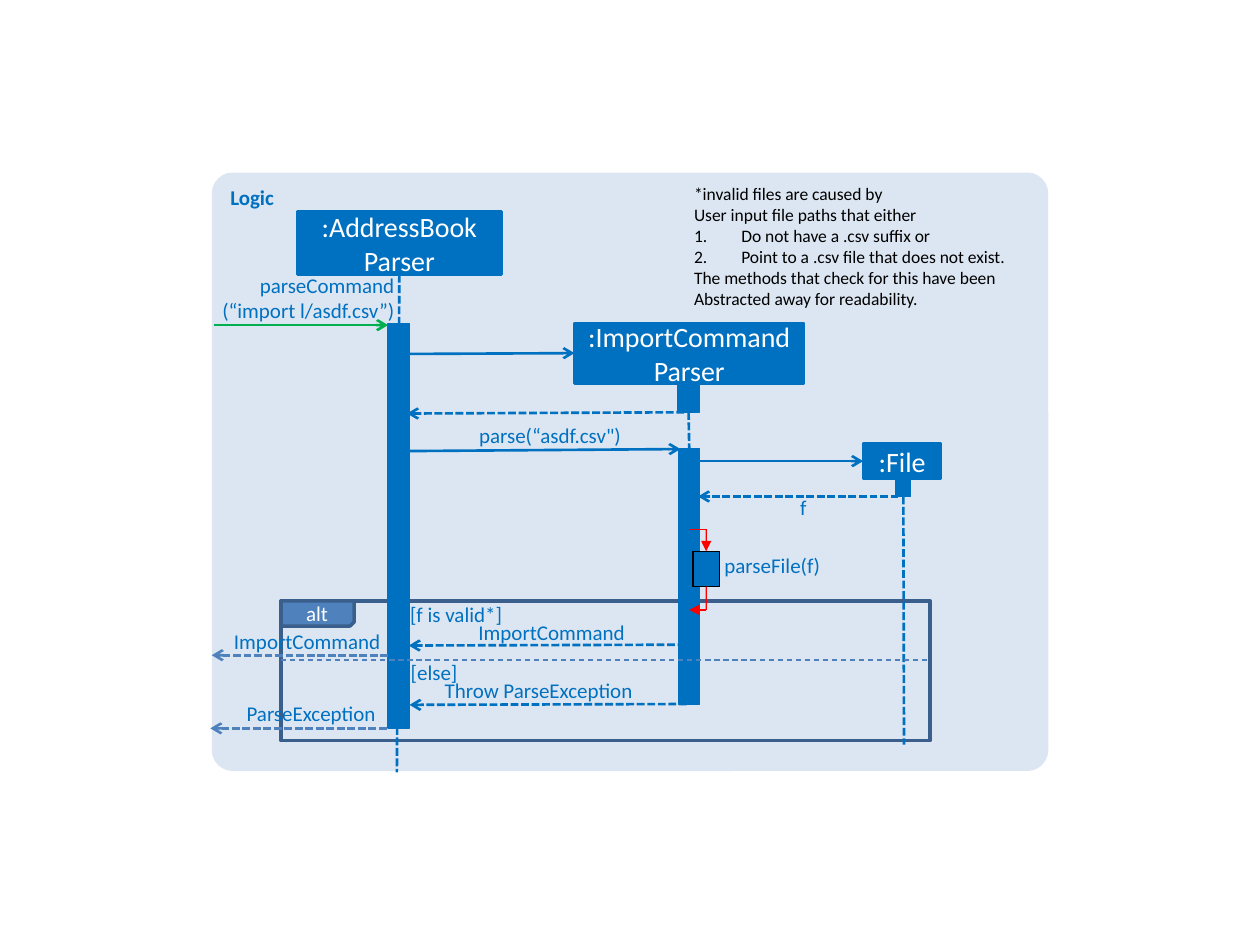
import pptx
import pptx.util
import pptx.dml.color
import pptx.enum.dml
import pptx.enum.shapes
import pptx.enum.text
import pptx.oxml.ns
from lxml import etree

Pt = pptx.util.Pt
SHAPE = pptx.enum.shapes.MSO_SHAPE
ALIGN = pptx.enum.text.PP_ALIGN
ANCHOR = pptx.enum.text.MSO_ANCHOR
DASH = pptx.enum.dml.MSO_LINE
qn = pptx.oxml.ns.qn

BLUE, STEEL, NAVY = "0070C0", "4F81BD", "3A5F8C"
PANEL, WHITE, BLACK = "DCE6F2", "FFFFFF", "000000"
GREEN, RED = "00B050", "FF0000"
TOP, LEFT, BOTTOM = 0, 1, 2


def color(hex_value):
    return pptx.dml.color.RGBColor.from_string(hex_value)


def add_block(slide, box, fill, line=None, weight=0.75, kind=SHAPE.RECTANGLE):
    block = slide.shapes.add_shape(kind, *map(Pt, box))
    block.shadow.inherit = False
    block.fill.solid()
    block.fill.fore_color.rgb = color(fill)
    if line:
        block.line.color.rgb = color(line)
        block.line.width = Pt(weight)
    else:
        block.line.fill.background()
    return block


def write(frame, lines, size, ink, align=ALIGN.LEFT, bold=False, numbered=()):
    for index, text in enumerate(lines):
        paragraph = frame.paragraphs[0] if index == 0 else frame.add_paragraph()
        paragraph.text = text
        paragraph.alignment = align
        if index in numbered:
            properties = paragraph._p.get_or_add_pPr()
            properties.set("marL", str(Pt(27)))
            properties.set("indent", str(Pt(-27)))
            etree.SubElement(properties, qn("a:buAutoNum"), type="arabicPeriod")
        paragraph.font.name = "Calibri"
        paragraph.font.size = Pt(size)
        paragraph.font.bold = bold
        paragraph.font.color.rgb = color(ink)


def add_participant(slide, box, *lines):
    head = add_block(slide, box, BLUE, BLUE, 1.5)
    head.text_frame.word_wrap = True
    head.text_frame.vertical_anchor = ANCHOR.MIDDLE
    write(head.text_frame, lines, 16, WHITE, ALIGN.CENTER)
    return head


def add_label(slide, x, y, width, *lines):
    label = slide.shapes.add_textbox(Pt(x), Pt(y), Pt(width), Pt(14.5 * len(lines)))
    frame = label.text_frame
    frame.word_wrap = True
    frame.margin_left = frame.margin_right = frame.margin_top = frame.margin_bottom = 0
    write(frame, lines, 12, BLUE, ALIGN.RIGHT)


def add_line(slide, start, end, ink=BLUE, weight=1.5, dash=None, arrow=None,
             begin=None, finish=None):
    """Draw a line; begin and finish are (shape, side) pairs to join."""
    line = slide.shapes.add_connector(
        pptx.enum.shapes.MSO_CONNECTOR.STRAIGHT, *map(Pt, start + end))
    if begin:
        line.begin_connect(*begin)
    if finish:
        line.end_connect(*finish)
    line.line.color.rgb = color(ink)
    line.line.width = Pt(weight)
    if dash:
        line.line.dash_style = dash
    if arrow:
        etree.SubElement(line.line._get_or_add_ln(), qn("a:tailEnd"), type=arrow)
    etree.SubElement(line._element.spPr, qn("a:effectLst"))


def add_call(slide, start, end, ink=BLUE, finish=None):
    add_line(slide, start, end, ink, arrow="arrow", finish=finish)


def add_reply(slide, start, end, ink=BLUE):
    add_line(slide, start, end, ink, dash=DASH.SQUARE_DOT, arrow="arrow")


def add_lifeline(slide, start, end, begin, finish=None):
    add_line(slide, start, end, dash=DASH.SQUARE_DOT, begin=begin, finish=finish)


def add_panel(slide):
    panel = add_block(slide, (121, 98.6, 478, 342), PANEL, kind=SHAPE.ROUNDED_RECTANGLE)
    panel.adjustments[0] = 0.035
    panel.text_frame.vertical_anchor = ANCHOR.TOP
    write(panel.text_frame, ["Logic"], 12, BLUE, bold=True)


def add_alt_tab(slide):
    tab = add_block(slide, (160.6, 343.4, 41.8, 14.4), STEEL, NAVY, 2,
                    SHAPE.SNIP_1_RECTANGLE)
    tab._element.spPr.find(qn("a:xfrm")).set("flipV", "1")
    title = slide.shapes.add_textbox(Pt(167.8), Pt(339.8), Pt(27.4), Pt(21.8))
    title.text_frame.word_wrap = False
    write(title.text_frame, ["alt"], 12, WHITE)


def add_note(slide):
    note = slide.shapes.add_textbox(Pt(389.5), Pt(100.8), Pt(195.1), Pt(80))
    note.text_frame.word_wrap = True
    write(note.text_frame, [
        "*invalid files are caused by",
        "User input file paths that either",
        "Do not have a .csv suffix or",
        "Point to a .csv file that does not exist.",
        "The methods that check for this have been",
        "Abstracted away for readability.",
    ], 10, BLACK, numbered=(2, 3))


def main():
    deck = pptx.Presentation()
    deck.slide_width, deck.slide_height = Pt(720), Pt(540)
    slide = deck.slides.add_slide(deck.slide_layouts[6])

    # Panel and alternative frame
    add_panel(slide)
    add_block(slide, (160.6, 343.4, 370.8, 79.9), PANEL, NAVY, 2)

    # Participants, lifelines and activation bars
    book = add_participant(slide, (169.9, 121, 116.6, 36), ":AddressBook", "Parser")
    add_lifeline(slide, (228.2, 157), (226.8, 441.4), (book, BOTTOM))
    add_block(slide, (221.8, 185, 12.2, 231.1), BLUE, BLUE)

    creation = add_block(slide, (387.4, 195.1, 12.2, 40.3), BLUE, BLUE)
    importer = add_participant(slide, (328.3, 184.5, 131.1, 34.6), ":ImportCommandParser")
    parsing = add_block(slide, (388.1, 256.3, 11.5, 146.2), BLUE, BLUE)
    add_lifeline(slide, (393.5, 235.4), (393.9, 256.3), (creation, BOTTOM), (parsing, TOP))

    file_head = add_participant(slide, (493.2, 253.4, 44.6, 20.2), ":File")
    file_bar = add_block(slide, (511.9, 272.9, 8.6, 10.8), BLUE, BLUE)
    add_lifeline(slide, (516.2, 283.7), (516.6, 425.5), (file_bar, BOTTOM))

    # Calls
    add_call(slide, (122.4, 185.8), (221.8, 185.8), GREEN)
    add_call(slide, (226.8, 202.3), (328.3, 201.8), finish=(importer, LEFT))
    add_call(slide, (229.7, 257.8), (388.8, 256.6))
    add_call(slide, (398.9, 263.5), (493.2, 263.5), finish=(file_head, LEFT))

    # Replies
    add_reply(slide, (391, 235.6), (232.6, 236.3))
    add_reply(slide, (513.4, 283.7), (398.9, 283.7))
    add_reply(slide, (391.7, 368.4), (233.6, 368.9))
    add_reply(slide, (392.4, 402.3), (234, 402.8))
    add_reply(slide, (221.8, 374.4), (121, 374.4), STEEL)
    add_reply(slide, (221, 416.2), (120.2, 416.2), STEEL)

    # Alternative divider and tab
    add_line(slide, (160.6, 377.1), (530.6, 377.1), STEEL, 0.75, DASH.DASH)
    add_alt_tab(slide)

    # Message labels
    add_label(slide, 122.4, 155.5, 103, "parseCommand", "(“import l/asdf.csv”)")
    for x, y, width, text in (
        (267.1, 241.2, 87.8, "parse(“asdf.csv\")"),
        (452.2, 282.6, 8.6, "f"),
        (232, 343.8, 55, "[f is valid*]"),
        (234, 377, 27.4, "[else]"),
        (269.3, 353.9, 87.8, "ImportCommand"),
        (250.6, 387.4, 110.9, "Throw ParseException"),
        (129.6, 359.3, 87.8, "ImportCommand"),
        (139, 400.3, 75.6, "ParseException"),
        (410.4, 315.8, 58.3, "parseFile(f)"),
    ):
        add_label(slide, x, y, width, text)
    add_note(slide)

    # Self call to parseFile
    parse_file = add_block(slide, (396, 315, 15.1, 20.2), BLUE, BLACK)
    self_x = 403.6
    add_line(slide, (393.8, 302.4), (self_x, 302.4), RED, 0.75)
    add_line(slide, (self_x, 302.4), (self_x, 315), RED, 0.75, arrow="triangle",
             finish=(parse_file, TOP))
    add_line(slide, (self_x, 335.2), (self_x, 348.5), RED, 0.75,
             begin=(parse_file, BOTTOM))
    add_line(slide, (self_x, 348.5), (393.8, 348.5), RED, 0.75, arrow="triangle")

    deck.save("out.pptx")


if __name__ == "__main__":
    main()
